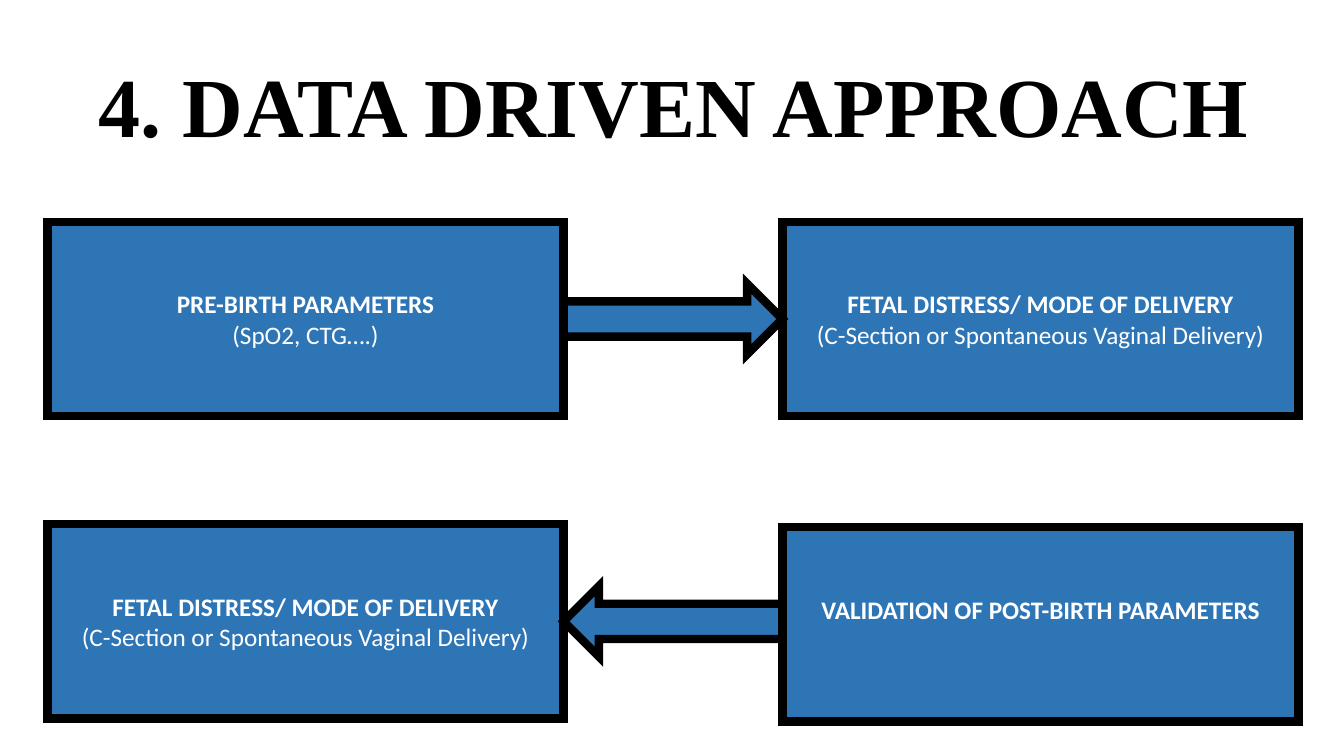
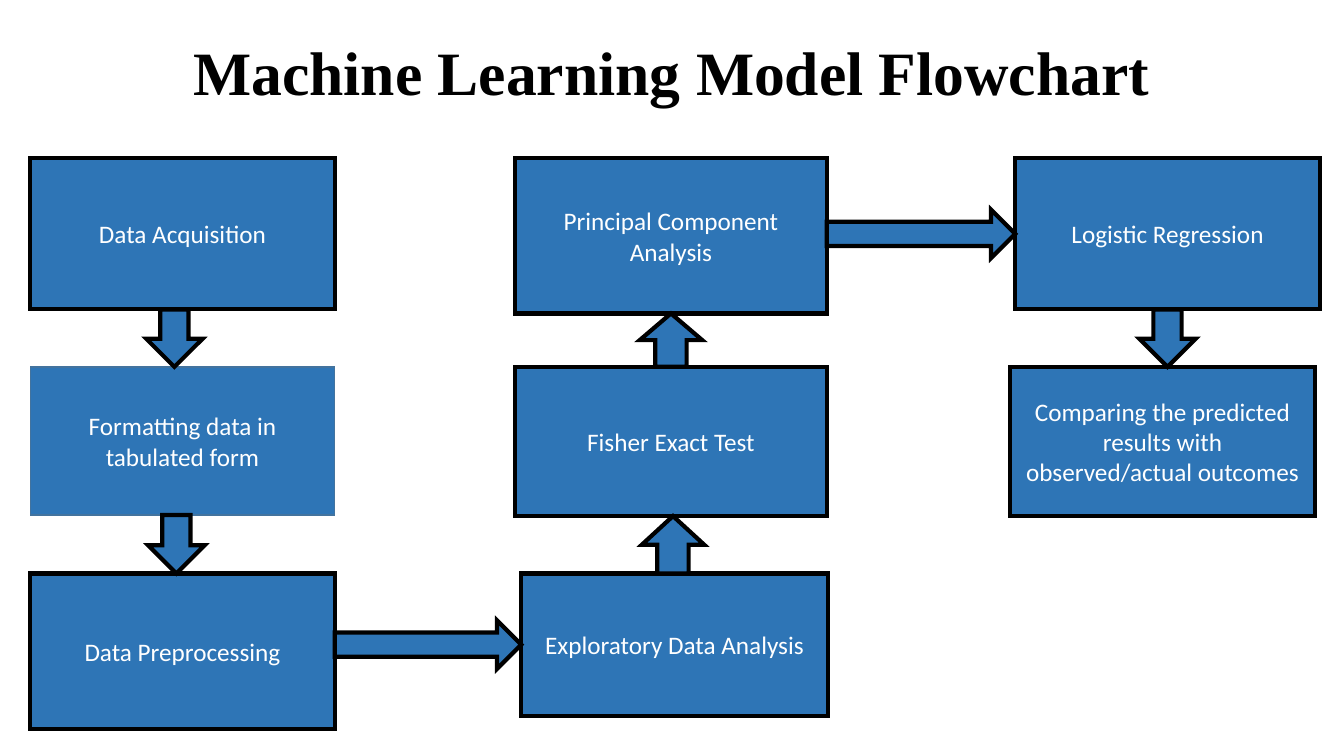
from dataclasses import dataclass

from lxml import etree
from pptx import Presentation
from pptx.dml.color import RGBColor
from pptx.enum import shapes, text
from pptx.oxml.ns import qn
from pptx.util import Inches, Pt


@dataclass(frozen=True)
class Theme:
    fill: RGBColor = RGBColor(0x2E, 0x75, 0xB6)
    outline: RGBColor = RGBColor(0, 0, 0)
    soft_outline: RGBColor = RGBColor(0x43, 0x73, 0x9E)
    box_text: RGBColor = RGBColor(255, 255, 255)
    title_text: RGBColor = RGBColor(0, 0, 0)
    title_font: str = "Times New Roman"
    body_font: str = "Calibri"
    body_size: int = 18
    section_size: int = 60
    chart_title_size: int = 44
    heavy: int = 6
    medium: int = 3
    thin: int = 1


@dataclass(frozen=True)
class Box:
    left: float
    top: float
    width: float
    height: float

    @property
    def right(self):
        return self.left + self.width

    @property
    def bottom(self):
        return self.top + self.height

    @property
    def middle(self):
        return self.left + self.width / 2, self.top + self.height / 2

    def inches(self):
        return [Inches(side) for side in (self.left, self.top, self.width, self.height)]


THEME = Theme()
ARROW = shapes.MSO_SHAPE


def add_span(para, words, font, size, color, bold):
    span = para.add_run()
    span.text = words
    span.font.name = font
    span.font.size = Pt(size)
    span.font.color.rgb = color
    span.font.bold = bold


def add_title(page, box, words, size, anchor, line_spacing):
    title = page.shapes.title
    title.left, title.top, title.width, title.height = box.inches()
    frame = title.text_frame
    frame.word_wrap = True
    frame.auto_size = text.MSO_AUTO_SIZE.NONE
    frame.vertical_anchor = anchor
    para = frame.paragraphs[0]
    para.alignment = text.PP_ALIGN.CENTER
    para.line_spacing = line_spacing
    add_span(para, words, THEME.title_font, size, THEME.title_text, True)


def add_block(page, kind, box, weight, outline=THEME.outline):
    """Add a filled preset shape with a sharp-cornered outline."""
    block = page.shapes.add_shape(kind, *box.inches())
    block.shadow.inherit = False
    block.fill.solid()
    block.fill.fore_color.rgb = THEME.fill
    block.line.width = Pt(weight)
    block.line.color.rgb = outline
    line = block.line._get_or_add_ln()
    etree.SubElement(line, qn("a:miter")).set("lim", "800000")
    return block


def add_step(page, box, lines, weight, outline=THEME.outline, lift=0):
    """Add a labelled rectangle; lines are (words, bold), lift raises the text."""
    frame = add_block(page, ARROW.RECTANGLE, box, weight, outline).text_frame
    frame.word_wrap = True
    frame.vertical_anchor = text.MSO_ANCHOR.MIDDLE
    frame.margin_bottom = Inches(0.05 + 2 * lift)
    for index, (words, bold) in enumerate(lines):
        para = frame.add_paragraph() if index else frame.paragraphs[0]
        para.alignment = text.PP_ALIGN.CENTER
        add_span(para, words, THEME.body_font, THEME.body_size, THEME.box_text, bold)


def add_arrow(page, start, end, breadth, weight, shift=0):
    """Fill the gap between two boxes with an arrow, centred on the end box."""
    across, down = end.middle
    if start.right <= end.left or end.right <= start.left:
        forward = start.right <= end.left
        kind = ARROW.RIGHT_ARROW if forward else ARROW.LEFT_ARROW
        first, last = (start, end) if forward else (end, start)
        gap = Box(first.right, down + shift - breadth / 2,
                  last.left - first.right, breadth)
    else:
        forward = start.bottom <= end.top
        kind = ARROW.DOWN_ARROW if forward else ARROW.UP_ARROW
        first, last = (start, end) if forward else (end, start)
        gap = Box(across + shift - breadth / 2, first.bottom,
                  breadth, last.top - first.bottom)
    add_block(page, kind, gap, weight)


def build_approach(page):
    add_title(page, Box(0.25, 0.36, 12.86, 1.23), "4. DATA DRIVEN APPROACH",
              THEME.section_size, text.MSO_ANCHOR.BOTTOM, 0.9)
    left, right, width, height = 0.47, 7.76, 5.12, 1.93
    parameters = Box(left, 2.2, width, height)
    prediction = Box(right, 2.2, width, height)
    outcome = Box(left, 5.2, width, height)
    validation = Box(right, 5.23, width, height)
    delivery = [("FETAL DISTRESS/ MODE OF DELIVERY", True),
                ("(C-Section or Spontaneous Vaginal Delivery)", False)]
    add_step(page, parameters, [("PRE-BIRTH PARAMETERS", True),
                                ("(SpO2, CTG….)", False)], THEME.heavy)
    for box in (prediction, outcome):
        add_step(page, box, delivery, THEME.heavy)
    add_step(page, validation, [("VALIDATION OF POST-BIRTH PARAMETERS", True)],
             THEME.heavy, lift=0.15)
    for start, end in ((parameters, prediction), (validation, outcome)):
        add_arrow(page, start, end, 0.7, THEME.heavy)


def build_flowchart(page):
    add_title(page, Box(0, 0.29, 13.33, 0.84), "Machine Learning Model Flowchart",
              THEME.chart_title_size, text.MSO_ANCHOR.TOP, 1.0)
    top, centre, low = 1.57, 3.64, 5.69
    side_width, middle_width = 3.02, 3.09
    acquisition = Box(0.3, top, side_width, 1.5)
    formatting = Box(0.3, centre, side_width, 1.47)
    preprocessing = Box(0.3, low, side_width, 1.54)
    exploration = Box(5.17, low, 3.04, 1.41)
    fisher = Box(5.11, centre, middle_width, 1.48)
    components = Box(5.11, top, middle_width, 1.54)
    regression = Box(10.07, top, side_width, 1.5)
    comparison = Box(10.02, centre, side_width, 1.48)

    steps = [
        (acquisition, "Data Acquisition"),
        (preprocessing, "Data Preprocessing"),
        (exploration, "Exploratory Data Analysis"),
        (fisher, "Fisher Exact Test"),
        (components, "Principal Component Analysis"),
        (regression, "Logistic Regression"),
        (comparison, "Comparing the predicted results with observed/actual outcomes"),
    ]
    for box, words in steps:
        add_step(page, box, [(words, False)], THEME.medium)
    add_step(page, formatting, [("Formatting data in tabulated form", False)],
             THEME.thin, THEME.soft_outline)

    flows = [
        (acquisition, formatting, 0.56, -0.08),
        (formatting, preprocessing, 0.56, -0.06),
        (preprocessing, exploration, 0.48, 0),
        (exploration, fisher, 0.62, 0.02),
        (fisher, components, 0.62, 0),
        (components, regression, 0.48, 0),
        (regression, comparison, 0.56, 0.05),
    ]
    for start, end, breadth, shift in flows:
        add_arrow(page, start, end, breadth, THEME.medium, shift)


def main():
    deck = Presentation()
    deck.slide_width, deck.slide_height = Inches(13.33), Inches(7.5)
    title_only = deck.slide_layouts[5]
    for build in (build_approach, build_flowchart):
        build(deck.slides.add_slide(title_only))
    deck.save("out.pptx")


if __name__ == "__main__":
    main()
